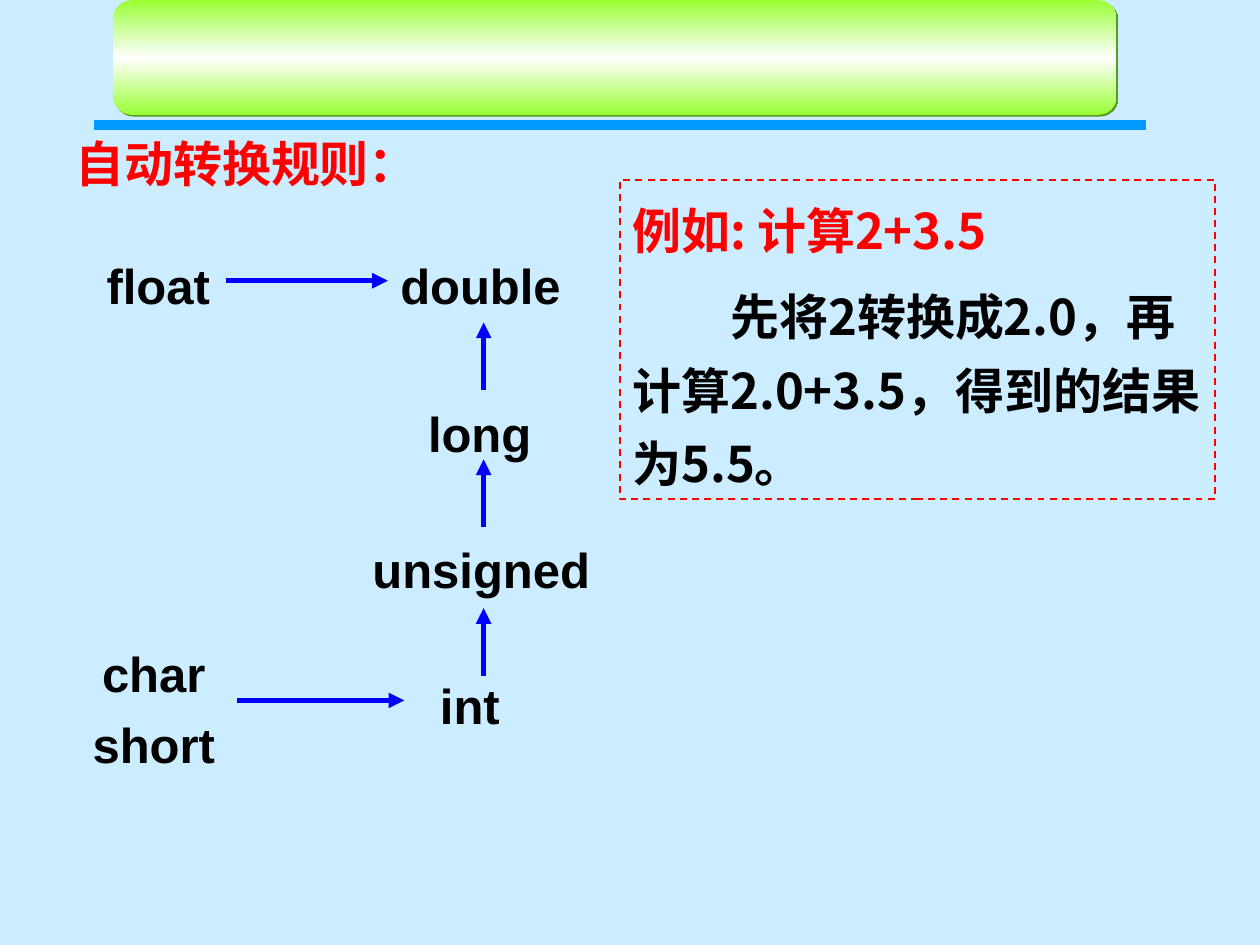
import copy

import pptx
import pptx.dml.color
import pptx.enum.dml
import pptx.enum.shapes
import pptx.enum.text
import pptx.oxml
import pptx.oxml.ns
import pptx.util
from pptx.util import Cm

qn = pptx.oxml.ns.qn
SHAPE = pptx.enum.shapes.MSO_SHAPE
ALIGN = pptx.enum.text.PP_ALIGN
CJK_FONT = "Noto Sans CJK SC"
BLACK, RED, BLUE = "000000", "FF0000", "0000FF"


def rgb(value):
    return pptx.dml.color.RGBColor.from_string(value)


def add_xml(parent, tag, **attributes):
    child = pptx.oxml.parse_xml(f"<a:{tag} {pptx.oxml.ns.nsdecls('a')}/>")
    for name, value in attributes.items():
        child.set(name, str(value))
    parent.append(child)
    return child


def add_line(s, x1, y1, x2, y2, color, width, arrow=False):
    line = s.shapes.add_connector(
        pptx.enum.shapes.MSO_CONNECTOR.STRAIGHT, Cm(x1), Cm(y1), Cm(x2), Cm(y2))
    line.line.color.rgb = rgb(color)
    line.line.width = pptx.util.Pt(width)
    if arrow:
        add_xml(line.line._get_or_add_ln(), "tailEnd", type="triangle")
    add_xml(line._element.spPr, "effectLst")
    return line


def add_banner(s, x, y, w, h):
    sp = s.shapes.add_shape(SHAPE.ROUNDED_RECTANGLE, Cm(x), Cm(y), Cm(w), Cm(h))
    sp.line.fill.background()
    sp.fill.gradient()
    sp.fill.gradient_angle = 90
    stops = sp._element.spPr.find(".//" + qn("a:gsLst"))
    stops.append(copy.deepcopy(stops[0]))
    for stop, position, color in zip(
            sp.fill.gradient_stops, (0, 0.5, 1), ("99FF33", "FFFFFF", "99FF33")):
        stop.position = position
        stop.color.rgb = rgb(color)
    sp.shadow.inherit = False
    effects = sp._element.spPr.find(qn("a:effectLst"))
    shadow = add_xml(effects, "outerShdw", dist=pptx.util.Pt(1.4),
                     dir=45 * 60000, algn="ctr", rotWithShape=0)
    add_xml(shadow, "srgbClr", val="5C991F")


def fill_text(sp, lines, font, colors, before, align=ALIGN.LEFT, spacing=None, grow=True):
    tf = sp.text_frame
    tf.word_wrap = True
    tf.vertical_anchor = pptx.enum.text.MSO_ANCHOR.TOP
    tf.text = "\n".join(lines)
    if grow:
        tf.auto_size = pptx.enum.text.MSO_AUTO_SIZE.SHAPE_TO_FIT_TEXT
    for p, color in zip(tf.paragraphs, colors):
        p.alignment = align
        p.space_before = pptx.util.Pt(before)
        if spacing:
            p.line_spacing = spacing
        for r in p.runs:
            r.font.size = pptx.util.Pt(28)
            r.font.bold = True
            r.font.name = font
            r.font.color.rgb = rgb(color)
            add_xml(r.font._element, "ea", typeface=CJK_FONT)


def add_label(s, x, y, w, h, lines, before=17.5, font="Arial", color=BLACK, **options):
    sp = s.shapes.add_textbox(Cm(x), Cm(y), Cm(w), Cm(h))
    fill_text(sp, lines, font, [color] * len(lines), before, **options)


def add_example(s, x, y, w, h, lines):
    sp = s.shapes.add_shape(SHAPE.RECTANGLE, Cm(x), Cm(y), Cm(w), Cm(h))
    sp.shadow.inherit = False
    sp.fill.background()
    sp.line.color.rgb = rgb(RED)
    sp.line.width = pptx.util.Pt(1)
    sp.line.dash_style = pptx.enum.dml.MSO_LINE.DASH
    fill_text(sp, lines, CJK_FONT, [RED, BLACK], 7, spacing=1.25)
    # First line of the explanation is indented by two characters
    p = sp.text_frame.paragraphs[1]
    p._p.get_or_add_pPr().set("indent", str(pptx.util.Pt(2 * 28)))


def main():
    prs = pptx.Presentation()
    prs.slide_width, prs.slide_height = Cm(25.4), Cm(19.05)
    s = prs.slides.add_slide(prs.slide_layouts[6])
    s.background.fill.solid()
    s.background.fill.fore_color.rgb = rgb("CCECFF")

    # Header
    add_line(s, 1.9, 2.52, 23.1, 2.52, "0099FF", 6)
    add_banner(s, 2.29, 0, 20.22, 2.32)

    # Type names
    for name, x, y, w, before in (
            ("float", 1.9, 5.03, 3.38, 17.5),
            ("double", 7.82, 5.03, 6, 17.5),
            ("long", 8.38, 8, 4.4, 17.5),
            ("unsigned", 7.26, 10.75, 5.87, 10.5),
            ("int", 8.62, 13.49, 3.4, 17.5)):
        add_label(s, x, y, w, 1.44, [name], before)
    add_label(s, 0.5, 12.85, 5.2, 2.88, ["char", "short"], 7, align=ALIGN.CENTER)

    # Conversion arrows: upwards, then to the right
    for tip in (6.5, 12.26, 9.26):
        add_line(s, 9.75, tip + 1.36, 9.75, tip, BLUE, 3, arrow=True)
    for start, end, y in ((4.78, 8.15, 14.12), (4.55, 7.82, 5.66)):
        add_line(s, start, y, end, y, BLUE, 3, arrow=True)

    # Heading and worked example
    add_label(s, 1.27, 2.57, 10.6, 2.1, ["自动转换规则："], 7,
              font="Courier New", color=RED, grow=False)
    add_example(s, 12.5, 3.63, 12, 6.43, [
        "例如: 计算2+3.5",
        "先将2转换成2.0，再计算2.0+3.5，得到的结果为5.5。"])

    prs.save("out.pptx")


if __name__ == "__main__":
    main()
